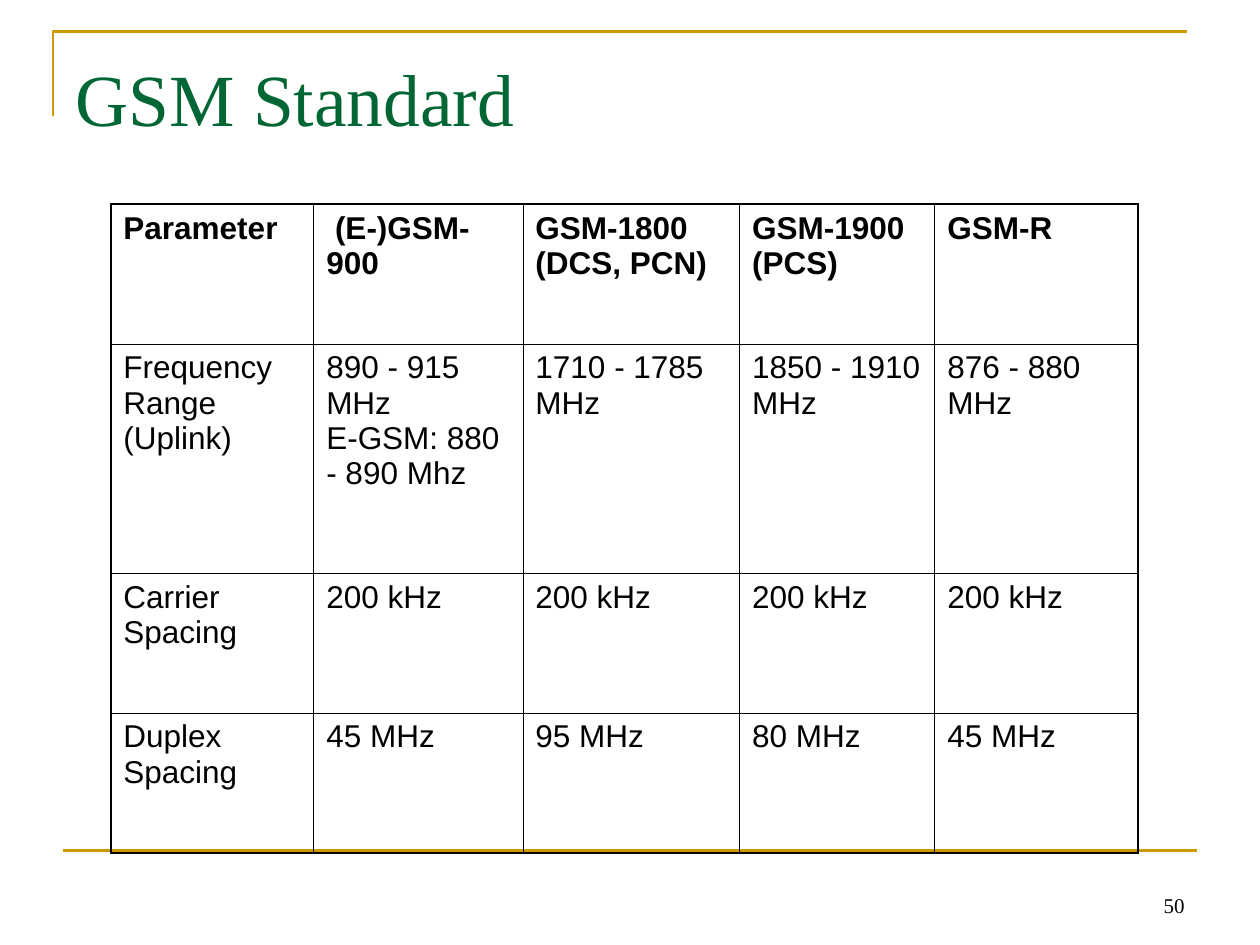
import pptx
import pptx.util
import pptx.dml.color
import pptx.enum.shapes
import pptx.enum.text
import pptx.oxml.ns
from lxml import etree

Inches, Pt = pptx.util.Inches, pptx.util.Pt
qn = pptx.oxml.ns.qn

# Content: one line of a cell per paragraph
TITLE = "GSM Standard"
PAGE_NUMBER = "50"
ROWS = [
    ["Parameter", " (E-)GSM-\n900", "GSM-1800\n(DCS, PCN)", "GSM-1900\n(PCS)", "GSM-R"],
    ["Frequency\nRange (Uplink)", "890 - 915\nMHz\nE-GSM: 880\n- 890 Mhz",
     "1710 - 1785\nMHz", "1850 - 1910\nMHz", "876 - 880\nMHz"],
    ["Carrier Spacing"] + ["200 kHz"] * 4,
    ["Duplex Spacing", "45 MHz", "95 MHz", "80 MHz", "45 MHz"],
]
COLUMN_WIDTHS = [1.61, 1.66, 1.72, 1.55, 1.61]
ROW_HEIGHTS = [1.11, 1.82, 1.11, 1.11]
GOLD, GREEN, BLACK = "CC9900", "006633", "000000"
OUTER_LINE, INNER_LINE = 1.08, 0.45


def rgb(color):
    return pptx.dml.color.RGBColor.from_string(color)


def set_text(frame, text, font, size, color, bold=False, align=None):
    frame.word_wrap = True
    frame.text = text
    for paragraph in frame.paragraphs:
        paragraph.alignment = align
        paragraph.font.name = font
        paragraph.font.size = Pt(size)
        paragraph.font.bold = bold
        paragraph.font.color.rgb = rgb(color)


def add_label(slide, box, text, size, color, anchor, align=None):
    frame = slide.shapes.add_textbox(*map(Inches, box)).text_frame
    frame.vertical_anchor = anchor
    set_text(frame, text, "Times New Roman", size, color, align=align)
    return frame


def set_borders(cell, widths):
    properties = cell._tc.get_or_add_tcPr()
    for position, (side, width) in enumerate(widths.items()):
        line = etree.Element(qn("a:ln" + side), w=str(Pt(width)))
        fill = etree.SubElement(line, qn("a:solidFill"))
        etree.SubElement(fill, qn("a:srgbClr"), val=BLACK)
        properties.insert(position, line)


presentation = pptx.Presentation()
presentation.slide_width, presentation.slide_height = Inches(10), Inches(7.5)
slide = presentation.slides.add_slide(presentation.slide_layouts[6])

# Corner frame above the title
outline = slide.shapes.build_freeform(Inches(0.42), Inches(0.92))
outline.add_line_segments(
    [(Inches(0.42), Inches(0.25)), (Inches(9.42), Inches(0.25))], close=False)
corner = outline.convert_to_shape()
corner.shadow.inherit = False
corner.fill.background()

# Footer rule
footer_rule = slide.shapes.add_connector(
    pptx.enum.shapes.MSO_CONNECTOR.STRAIGHT,
    Inches(0.5), Inches(6.75), Inches(9.5), Inches(6.75))
etree.SubElement(footer_rule._element.spPr, qn("a:effectLst"))
for rule in (corner, footer_rule):
    rule.line.color.rgb = rgb(GOLD)
    rule.line.width = Pt(1.5)

# Page number and title
ANCHOR = pptx.enum.text.MSO_ANCHOR
add_label(slide, (7.17, 6.83, 2.33, 0.5), PAGE_NUMBER, 12, BLACK,
          ANCHOR.BOTTOM, pptx.enum.text.PP_ALIGN.RIGHT)
title = add_label(slide, (0.5, 0.3, 9, 1.25), TITLE, 42, GREEN, ANCHOR.TOP)
title.margin_top = Inches(0.12)

# Parameter table
table = slide.shapes.add_table(
    len(ROWS), len(COLUMN_WIDTHS), Inches(0.88), Inches(1.62),
    Inches(sum(COLUMN_WIDTHS)), Inches(sum(ROW_HEIGHTS))).table
table.first_row = table.horz_banding = False
for column, width in zip(table.columns, COLUMN_WIDTHS):
    column.width = Inches(width)
for row, height in zip(table.rows, ROW_HEIGHTS):
    row.height = Inches(height)

last_row, last_column = len(ROWS) - 1, len(COLUMN_WIDTHS) - 1
for r, texts in enumerate(ROWS):
    for c, text in enumerate(texts):
        cell = table.cell(r, c)
        cell.fill.background()
        set_text(cell.text_frame, text, "Arial", 18, BLACK, bold=r == 0)
        on_edge = {"L": c == 0, "R": c == last_column, "T": r == 0, "B": r == last_row}
        set_borders(cell, {side: OUTER_LINE if edge else INNER_LINE
                           for side, edge in on_edge.items()})

presentation.save("out.pptx")
